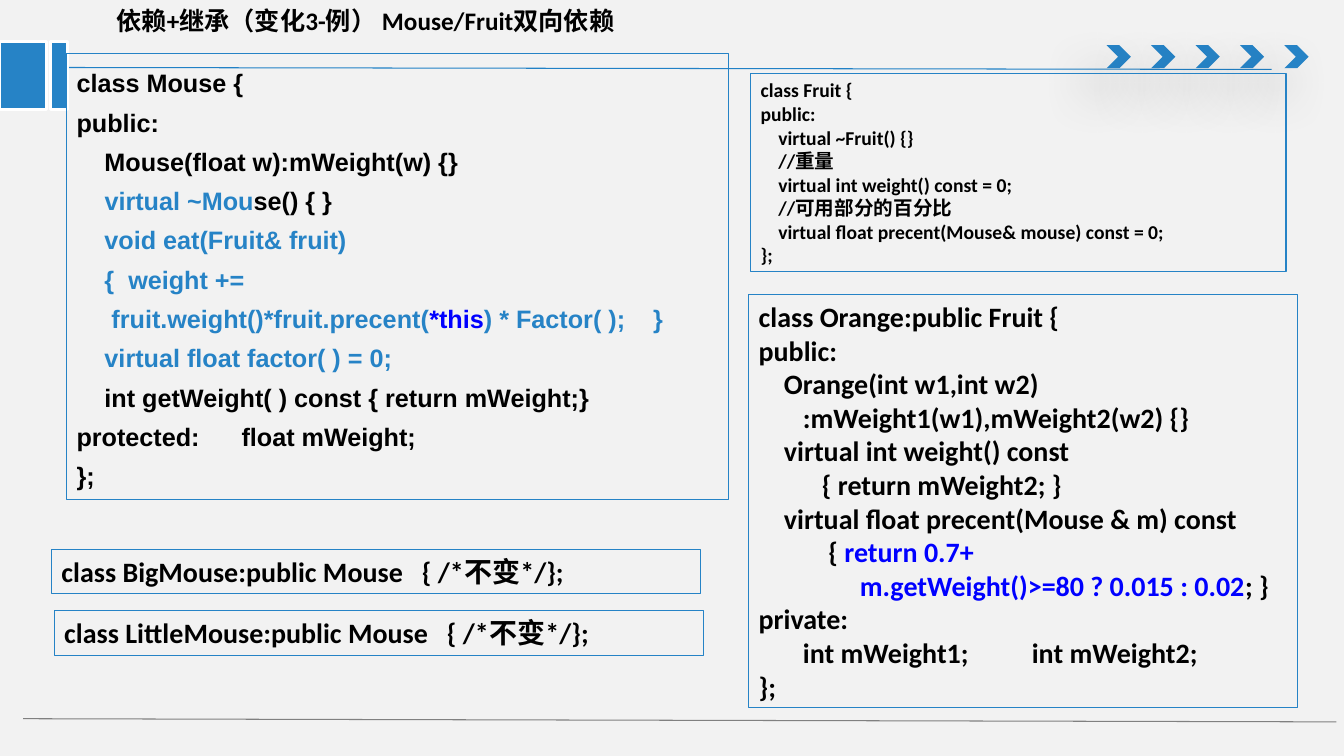
from dataclasses import dataclass

from lxml import etree
from pptx import Presentation
from pptx.dml.color import RGBColor
from pptx.enum.shapes import MSO_CONNECTOR, MSO_SHAPE
from pptx.enum.text import MSO_ANCHOR, MSO_AUTO_SIZE, PP_ALIGN
from pptx.oxml import parse_xml
from pptx.oxml.ns import nsdecls, qn
from pptx.util import Cm, Pt

RECT, CHEVRON = MSO_SHAPE.RECTANGLE, MSO_SHAPE.CHEVRON
STRAIGHT = MSO_CONNECTOR.STRAIGHT
TOP = MSO_ANCHOR.TOP
GROW = MSO_AUTO_SIZE.SHAPE_TO_FIT_TEXT
LEFT, CENTER = PP_ALIGN.LEFT, PP_ALIGN.CENTER

BLACK, WHITE, GREY, PAPER = "000000", "FFFFFF", "808080", "F2F2F2"
BLUE, LINE_BLUE, VIVID = "2683C6", "2181C6", "0000FF"

Run = tuple[str, str]
Paragraph = str | list[Run]  # a plain string is one black run


@dataclass
class Box:
    left: float
    top: float
    width: float
    height: float


@dataclass
class CodeBox:
    box: Box
    size: float
    paragraphs: list[Paragraph]
    font: str = "Calibri"
    spacing: float = 1.0


@dataclass
class Rule:
    x1: float
    y1: float
    x2: float
    y2: float
    color: str


RULES = [
    Rule(1.35, 1.70, 32.05, 1.75, LINE_BLUE),
    Rule(0.58, 18.11, 33.68, 18.19, GREY),
]
SIDE_BLOCKS = [Box(0, 1.04, 1.17, 1.73), Box(1.27, 1.04, 0.43, 1.73)]
CHEVRONS = [Box(27.89 + 1.12 * i, 1.14, 0.61, 0.58) for i in range(5)]

CODE_BOXES = [
    CodeBox(Box(1.30, 13.84, 16.36, 1.12), 20,
            ["class BigMouse:public Mouse   { /*不变*/};"]),
    CodeBox(Box(1.68, 1.35, 16.69, 11.25), 18, [
        "class Mouse {",
        "public:",
        [("    Mouse(float w):mWeight(w) {} \n    ", BLACK),
         ("virtual ~Mou", BLUE), ("se() { }", BLACK)],
        [("    void eat(Fruit& fruit)", BLUE)],
        [("    {  weight +=  \n     fruit.weight()*fruit.precent(", BLUE),
         ("*this", VIVID),
         (") * Factor( );    }\n    virtual float factor( ) = 0;", BLUE)],
        "    int getWeight( ) const { return mWeight;}",
        "protected:      float mWeight;",
        "};",
    ], font="Arial", spacing=1.3),
    CodeBox(Box(1.37, 15.39, 16.36, 1.12), 20,
            ["class LittleMouse:public Mouse   { /*不变*/};"]),
    CodeBox(Box(18.92, 1.85, 13.49, 5.0), 14, [
        "class Fruit {",
        "public:",
        "    virtual ~Fruit() {}",
        "    //重量",
        "    virtual int weight() const = 0; \n    //可用部分的百分比",
        "    virtual float precent(Mouse& mouse) const = 0;",
        "};",
    ]),
    CodeBox(Box(18.87, 7.42, 13.84, 10.41), 20, [
        "class Orange:public Fruit {",
        "public:",
        "    Orange(int w1,int w2)",
        "       :mWeight1(w1),mWeight2(w2) {}",
        "    virtual int weight() const",
        "          { return mWeight2; }",
        "    virtual float precent(Mouse & m) const",
        [("           {", BLACK),
         (" return 0.7+\n                m.getWeight()>=80 ? 0.015 : 0.02", VIVID),
         ("; }", BLACK)],
        "private:",
        "       int mWeight1;          int mWeight2;",
        "};",
    ]),
]
TITLE = CodeBox(Box(2.21, 0, 14.0, 1.02), 18,
                ["依赖+继承（变化3-例） Mouse/Fruit双向依赖"])


def rgb(color: str) -> RGBColor:
    return RGBColor.from_string(color)


def place(box: Box) -> tuple[Cm, Cm, Cm, Cm]:
    return Cm(box.left), Cm(box.top), Cm(box.width), Cm(box.height)


def add_rule(s, rule: Rule) -> None:
    line = s.shapes.add_connector(STRAIGHT, Cm(rule.x1), Cm(rule.y1),
                                  Cm(rule.x2), Cm(rule.y2))
    line.line.color.rgb = rgb(rule.color)
    line.line.width = Pt(0.75)
    etree.SubElement(line._element.spPr, qn("a:effectLst"))


def add_block(s, kind, box: Box, fill: str | None = None,
              line: str | None = None, width: float = 0.75):
    sp = s.shapes.add_shape(kind, *place(box))
    sp.shadow.inherit = False
    if fill:
        sp.fill.solid()
        sp.fill.fore_color.rgb = rgb(fill)
    else:
        sp.fill.background()
    if line:
        sp.line.color.rgb = rgb(line)
        sp.line.width = Pt(width)
    else:
        sp.line.fill.background()
    return sp


def add_chevron(s, box: Box) -> None:
    sp = add_block(s, CHEVRON, box, fill=BLUE)
    sp._element.spPr.find(qn("a:effectLst")).append(parse_xml(
        f'<a:outerShdw {nsdecls("a")} blurRad="{Pt(36)}" dist="{Pt(24)}" '
        f'dir="{130 * 60000}" rotWithShape="0"><a:srgbClr val="{BLACK}">'
        '<a:alpha val="38000"/></a:srgbClr></a:outerShdw>'))


def add_run(p, text: str, color: str, code: CodeBox) -> None:
    """Add the text in one style, with a line break for each newline."""
    for i, part in enumerate(text.split("\n")):
        if i:
            p.add_line_break()
        r = p.add_run()
        r.text = part
        r.font.name = code.font
        r.font.size = Pt(code.size)
        r.font.bold = True
        r.font.color.rgb = rgb(color)


def write(sp, code: CodeBox, align) -> None:
    tf = sp.text_frame
    tf.word_wrap = True
    tf.auto_size = GROW
    tf.vertical_anchor = TOP
    for i, content in enumerate(code.paragraphs):
        p = tf.add_paragraph() if i else tf.paragraphs[0]
        p.alignment = align
        p.line_spacing = code.spacing
        runs = [(content, BLACK)] if isinstance(content, str) else content
        for text, color in runs:
            add_run(p, text, color, code)


def main() -> None:
    prs = Presentation()
    prs.slide_width, prs.slide_height = Cm(33.87), Cm(19.05)
    s = prs.slides.add_slide(prs.slide_layouts[6])
    s.background.fill.solid()
    s.background.fill.fore_color.rgb = rgb(PAPER)

    for rule in RULES:
        add_rule(s, rule)
    for box in CHEVRONS:
        add_chevron(s, box)
    for box in SIDE_BLOCKS:
        add_block(s, RECT, box, fill=BLUE, line=WHITE, width=2)
    for code in CODE_BOXES:
        write(add_block(s, RECT, code.box, line=BLUE), code, LEFT)
    write(s.shapes.add_textbox(*place(TITLE.box)), TITLE, CENTER)

    prs.save("out.pptx")


if __name__ == "__main__":
    main()
